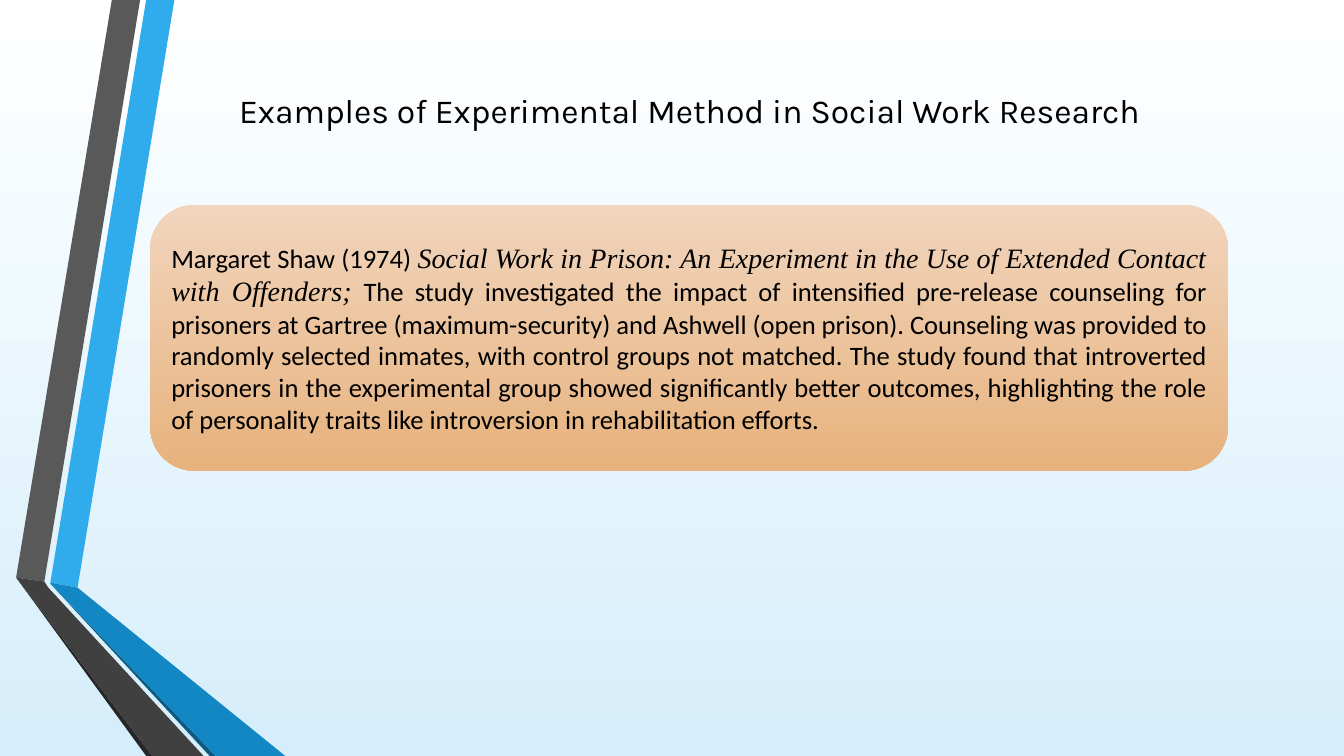
from pptx import Presentation
from pptx.dml.color import RGBColor
from pptx.enum.shapes import MSO_SHAPE
from pptx.enum.text import MSO_ANCHOR, PP_ALIGN
from pptx.util import Inches, Pt

ROUNDED = MSO_SHAPE.ROUNDED_RECTANGLE
MIDDLE = MSO_ANCHOR.MIDDLE
CENTER, JUSTIFY = PP_ALIGN.CENTER, PP_ALIGN.JUSTIFY

BLACK = RGBColor(0x00, 0x00, 0x00)
WHITE = RGBColor(0xFF, 0xFF, 0xFF)
PALE_BLUE = RGBColor(0xD6, 0xEE, 0xFB)
BLUE = RGBColor(0x30, 0xAC, 0xEC)
MID_BLUE = RGBColor(0x12, 0x87, 0xC3)
DARK_BLUE = RGBColor(0x0C, 0x5A, 0x82)
GRAY = RGBColor(0x59, 0x59, 0x59)
DARK_GRAY = RGBColor(0x40, 0x40, 0x40)
NEAR_BLACK = RGBColor(0x26, 0x26, 0x26)
PEACH = RGBColor(0xF1, 0xD5, 0xBD)
ORANGE = RGBColor(0xE7, 0xB2, 0x7D)

RIBBONS = [
    (BLUE, [(0.5, 5.78), (0.77, 5.83), (1.73, 0), (1.45, 0)]),
    (GRAY, [(1.39, 0), (1.11, 0), (0.16, 5.73), (0.44, 5.77)]),
    (NEAR_BLACK, [(0.16, 5.73), (1.45, 7.5), (1.51, 7.5)]),
    (DARK_BLUE, [(0.5, 5.79), (2.08, 7.5), (2.14, 7.5)]),
    (MID_BLUE, [(0.5, 5.79), (2.14, 7.5), (2.83, 7.5), (0.77, 5.83), (0.5, 5.78)]),
    (DARK_GRAY, [(2.02, 7.5), (0.48, 5.83), (0.44, 5.77), (0.16, 5.73), (1.51, 7.5)]),
]

TITLE = "Examples of Experimental Method in Social Work Research"
STUDY = [
    ("Margaret Shaw (1974) ", "Calibri", 19, False),
    ("Social Work in Prison: An Experiment in the Use of Extended Contact "
     "with Offenders;", "Times New Roman", 20, True),
    (" ", "Times New Roman", 18, True),
    ("The study investigated the impact of intensified pre-release counseling "
     "for prisoners at Gartree (maximum-security) and Ashwell (open prison). "
     "Counseling was provided to randomly selected inmates, with control groups "
     "not matched. The study found that introverted prisoners in the "
     "experimental group showed significantly better outcomes, highlighting the "
     "role of personality traits like introversion in rehabilitation efforts.",
     "Calibri", 19, False),
]


class SlideBuilder:
    """Draws styled elements on one slide."""

    def __init__(self, slide):
        self.slide = slide
        self.color = BLACK

    def gradient(self, fill, top, bottom):
        fill.gradient()
        fill.gradient_angle = 270
        for stop, position, color in zip(fill.gradient_stops, (0, 1), (top, bottom)):
            stop.position = position
            stop.color.rgb = color

    def ribbon(self, color, points):
        corners = [(Inches(x), Inches(y)) for x, y in points]
        builder = self.slide.shapes.build_freeform(*corners[0])
        builder.add_line_segments(corners[1:], close=True)
        shape = builder.convert_to_shape()
        shape.shadow.inherit = False
        shape.fill.solid()
        shape.fill.fore_color.rgb = color
        shape.line.fill.background()

    def title(self, text, left, top, width, height):
        shape = self.slide.shapes.title
        shape.left, shape.top = Inches(left), Inches(top)
        shape.width, shape.height = Inches(width), Inches(height)
        frame = shape.text_frame
        frame.text = text
        frame.vertical_anchor = MIDDLE
        paragraph = frame.paragraphs[0]
        paragraph.alignment = CENTER
        paragraph.font.name = "Karla"
        paragraph.font.size = Pt(24)
        paragraph.font.color.rgb = self.color

    def card(self, runs, left, top, width, height):
        shape = self.slide.shapes.add_shape(
            ROUNDED, Inches(left), Inches(top), Inches(width), Inches(height))
        shape.shadow.inherit = False
        self.gradient(shape.fill, PEACH, ORANGE)
        shape.line.fill.background()
        frame = shape.text_frame
        frame.word_wrap = True
        frame.vertical_anchor = MIDDLE
        frame.margin_left = frame.margin_right = Inches(0.08)
        frame.margin_top = frame.margin_bottom = Inches(0.08)
        paragraph = frame.paragraphs[0]
        paragraph.alignment = JUSTIFY
        paragraph.font.color.rgb = self.color
        for text, font, size, italic in runs:
            run = paragraph.add_run()
            run.text = text
            run.font.name = font
            run.font.size = Pt(size)
            run.font.italic = italic
            run.font.color.rgb = self.color


def main():
    presentation = Presentation()
    presentation.slide_width = Inches(13.33)
    presentation.slide_height = Inches(7.5)
    slide = presentation.slides.add_slide(presentation.slide_layouts[5])
    builder = SlideBuilder(slide)
    builder.gradient(slide.background.fill, WHITE, PALE_BLUE)
    for color, points in RIBBONS:
        builder.ribbon(color, points)
    builder.title(TITLE, 1.36, 0.13, 10.96, 1.92)
    builder.card(STUDY, 1.49, 2.03, 10.69, 2.64)
    presentation.save("out.pptx")


if __name__ == "__main__":
    main()
